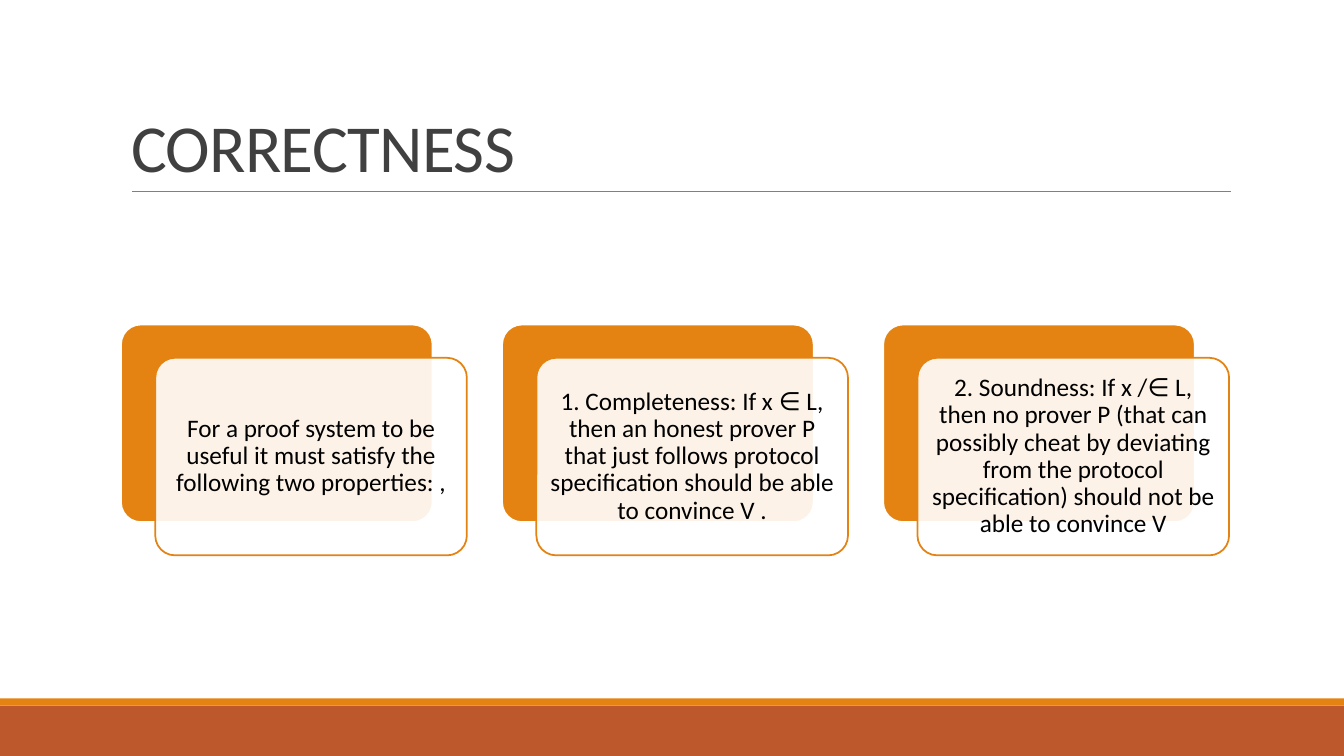
from lxml import etree
from pptx import Presentation
from pptx.dml.color import RGBColor
from pptx.enum.shapes import MSO_CONNECTOR, MSO_SHAPE
from pptx.enum.text import MSO_ANCHOR, MSO_AUTO_SIZE, PP_ALIGN
from pptx.oxml.ns import qn
from pptx.util import Inches, Pt

RECT, ROUNDED = MSO_SHAPE.RECTANGLE, MSO_SHAPE.ROUNDED_RECTANGLE
STRAIGHT = MSO_CONNECTOR.STRAIGHT
LEFT, CENTER = PP_ALIGN.LEFT, PP_ALIGN.CENTER
MIDDLE, BOTTOM = MSO_ANCHOR.MIDDLE, MSO_ANCHOR.BOTTOM
NO_AUTOFIT = MSO_AUTO_SIZE.NONE

TITLE = "CORRECTNESS"
PROPERTIES = [
    "For a proof system to be useful it must satisfy the following two properties: ,",
    "1. Completeness: If x ∈ L, then an honest prover P that just follows protocol "
    "specification should be able to convince V .",
    "2. Soundness: If x /∈ L, then no prover P (that can possibly cheat by deviating "
    "from the protocol specification) should not be able to convince V",
]

ORANGE, RUST, WHITE = "E48312", "BD582C", "FFFFFF"
GREY, DARK, BLACK = "808080", "404040", "000000"
WIDTH, HEIGHT = 13.33, 7.5
FOOTER_BANDS = [(7, 0.5, RUST), (6.93, 0.07, ORANGE)]
TITLE_BOX = (1.2, 0.31, 11, 1.59)
RULE_LEFT, RULE_RIGHT, RULE_TOP = 1.31, 12.21, 1.9
CARD_LEFT, CARD_TOP, CARD_PITCH = 1.2, 3.22, 3.78
CARD_WIDTH, CARD_HEIGHT = 3.09, 1.96
FRONT_SHIFT_X, FRONT_SHIFT_Y = 0.34, 0.33
CARD_INSET = Inches(0.07)

TITLE_FRAME = {"vertical_anchor": BOTTOM, "word_wrap": True, "auto_size": NO_AUTOFIT}
CARD_FRAME = {
    "vertical_anchor": MIDDLE, "word_wrap": True, "auto_size": NO_AUTOFIT,
    "margin_left": CARD_INSET, "margin_right": CARD_INSET,
    "margin_top": CARD_INSET, "margin_bottom": CARD_INSET,
}
TITLE_PARAGRAPH = {"alignment": LEFT, "line_spacing": 0.85}
CARD_PARAGRAPH = {"alignment": CENTER, "line_spacing": 0.9}


def rgb(code):
    return RGBColor.from_string(code)


def set_all(target, values):
    for name, value in values.items():
        setattr(target, name, value)


def write(shape, text, frame_format, paragraph_format, size, color):
    """Put text into the shape and return its run."""
    frame = shape.text_frame
    set_all(frame, frame_format)
    paragraph = frame.paragraphs[0]
    set_all(paragraph, paragraph_format)
    run = paragraph.add_run()
    run.text = text
    set_all(run.font, {"name": "Calibri", "size": Pt(size), "bold": False})
    run.font.color.rgb = rgb(color)
    return run


def add_block(slide, kind, box, fill, outline=None):
    block = slide.shapes.add_shape(kind, *map(Inches, box))
    block.shadow.inherit = False
    block.fill.solid()
    block.fill.fore_color.rgb = rgb(fill)
    if outline:
        block.line.color.rgb = rgb(outline)
        block.line.width = Pt(1.25)
    else:
        block.line.fill.background()
    if kind == ROUNDED:
        block.adjustments[0] = 0.1
    return block


def set_opacity(block, percent):
    color = block.fill._xPr.find(qn("a:solidFill"))[0]
    etree.SubElement(color, qn("a:alpha"), val=str(percent * 1000))


def add_rule(slide):
    rule = slide.shapes.add_connector(
        STRAIGHT, *map(Inches, (RULE_LEFT, RULE_TOP, RULE_RIGHT, RULE_TOP)))
    rule.line.color.rgb = rgb(GREY)
    rule.line.width = Pt(0.5)
    etree.SubElement(rule._element.spPr, qn("a:effectLst"))


def add_title(slide):
    title = slide.shapes.title
    title.left, title.top, title.width, title.height = map(Inches, TITLE_BOX)
    run = write(title, TITLE, TITLE_FRAME, TITLE_PARAGRAPH, 48, DARK)
    run.font._element.set("spc", "-50")


def add_card(slide, column, text):
    left = CARD_LEFT + column * CARD_PITCH
    size = (CARD_WIDTH, CARD_HEIGHT)
    add_block(slide, ROUNDED, (left, CARD_TOP, *size), ORANGE, WHITE)
    front = add_block(
        slide, ROUNDED, (left + FRONT_SHIFT_X, CARD_TOP + FRONT_SHIFT_Y, *size),
        WHITE, ORANGE)
    set_opacity(front, 90)
    write(front, text, CARD_FRAME, CARD_PARAGRAPH, 18, BLACK)


def main():
    deck = Presentation()
    deck.slide_width, deck.slide_height = Inches(WIDTH), Inches(HEIGHT)
    slide = deck.slides.add_slide(deck.slide_layouts[5])
    for top, height, color in FOOTER_BANDS:
        add_block(slide, RECT, (0, top, WIDTH, height), color)
    add_rule(slide)
    add_title(slide)
    for column, text in enumerate(PROPERTIES):
        add_card(slide, column, text)
    deck.save("out.pptx")


if __name__ == "__main__":
    main()
